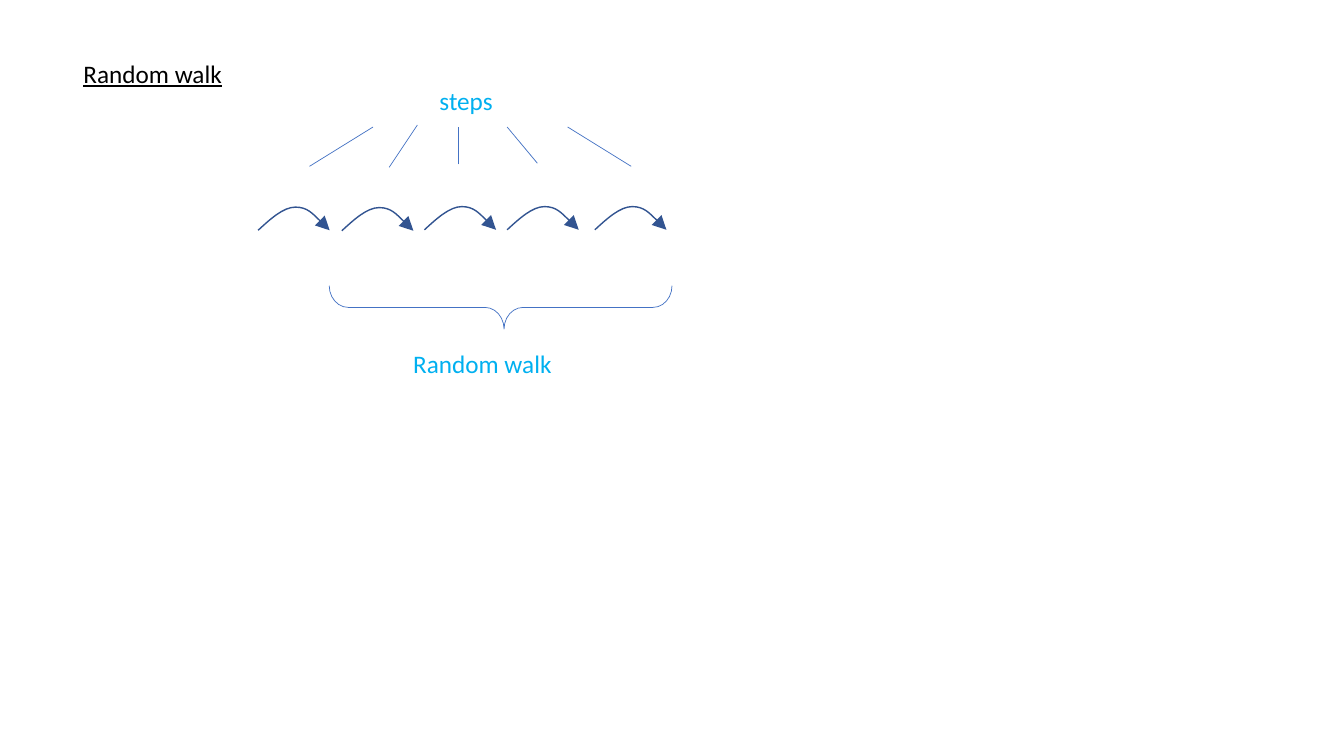
from lxml.etree import SubElement
from pptx import Presentation
from pptx.dml.color import RGBColor
from pptx.enum.shapes import MSO_CONNECTOR, MSO_SHAPE
from pptx.enum.text import MSO_AUTO_SIZE
from pptx.oxml.ns import qn
from pptx.util import Inches, Pt

BLACK = RGBColor(0x00, 0x00, 0x00)
SKY = RGBColor(0x00, 0xB0, 0xF0)
BLUE = RGBColor(0x44, 0x72, 0xC4)
NAVY = RGBColor(0x32, 0x54, 0x91)

# Grid of 1333 columns by 750 rows
CELL = Inches(0.01)
COLUMNS, ROWS = 1333, 750


def cells(*counts):
    return [count * CELL for count in counts]


def draw_outline(line, color, points):
    line.color.rgb = color
    line.width = Pt(points)


deck = Presentation()
deck.slide_width, deck.slide_height = cells(COLUMNS, ROWS)
page = deck.slides.add_slide(deck.slide_layouts[6])

# Heading and labels: text, place, format
labels = [
    ("Random walk", (73, 53, 264, 40), {"underline": True}, BLACK),
    ("Random walk", (400, 341, 220, 40), {}, SKY),
    ("steps", (426, 80, 85, 42), {}, SKY),
]
for text, place, extra, color in labels:
    box = page.shapes.add_textbox(*cells(*place))
    box.text_frame.word_wrap = True
    box.text_frame.auto_size = MSO_AUTO_SIZE.SHAPE_TO_FIT_TEXT
    span = box.text_frame.paragraphs[0].add_run()
    span.text = text
    span.font.color.rgb = color
    for name, value in {"name": "Calibri", "size": Pt(18), **extra}.items():
        setattr(span.font, name, value)

# Brace under the walk
brace = page.shapes.add_shape(MSO_SHAPE.RIGHT_BRACE, *cells(475, 135, 43, 340))
brace.rotation = 90
brace.adjustments[0] = 0.44
brace.adjustments[1] = 0.49
brace.shadow.inherit = False
brace.fill.background()
draw_outline(brace.line, BLUE, 0.5)

# Curved step arrows: each half of the hop is one Bezier segment
HOP_WIDTH, HOP_HEIGHT = 71, 23
hop_curves = [
    [(12, 12), (25, 0), (37, 0)],
    [(49, 0), (60, 12), (HOP_WIDTH, HOP_HEIGHT)],
]
for left, top in [(256, 205.5), (339, 206), (421, 205), (503, 205), (590, 205)]:
    builder = page.shapes.build_freeform(0, HOP_HEIGHT, scale=CELL)
    builder.add_line_segments([curve[-1] for curve in hop_curves], close=False)
    hop = builder.convert_to_shape(*(int(length) for length in cells(left, top)))
    hop.shadow.inherit = False
    hop.fill.background()
    draw_outline(hop.line, NAVY, 1)
    segments = list(hop._element.iter(qn("a:lnTo")))
    for segment, curve in zip(segments, hop_curves):
        bezier = SubElement(segment.getparent(), qn("a:cubicBezTo"))
        for x, y in curve:
            SubElement(bezier, qn("a:pt"), x=str(x), y=str(y))
        segment.getparent().replace(segment, bezier)
    SubElement(hop.line._get_or_add_ln(), qn("a:tailEnd"),
               type="triangle", w="lg", len="lg")

# Pointers from the steps label to each hop
pointers = [
    (307, 165, 370, 126),
    (386, 166, 414, 124),
    (455, 163, 455, 126),
    (533, 162, 503, 126),
    (626, 165, 563, 126),
]
for ends in pointers:
    pointer = page.shapes.add_connector(MSO_CONNECTOR.STRAIGHT, *cells(*ends))
    draw_outline(pointer.line, BLUE, 0.5)
    SubElement(pointer._element.spPr, qn("a:effectLst"))

deck.save("out.pptx")
